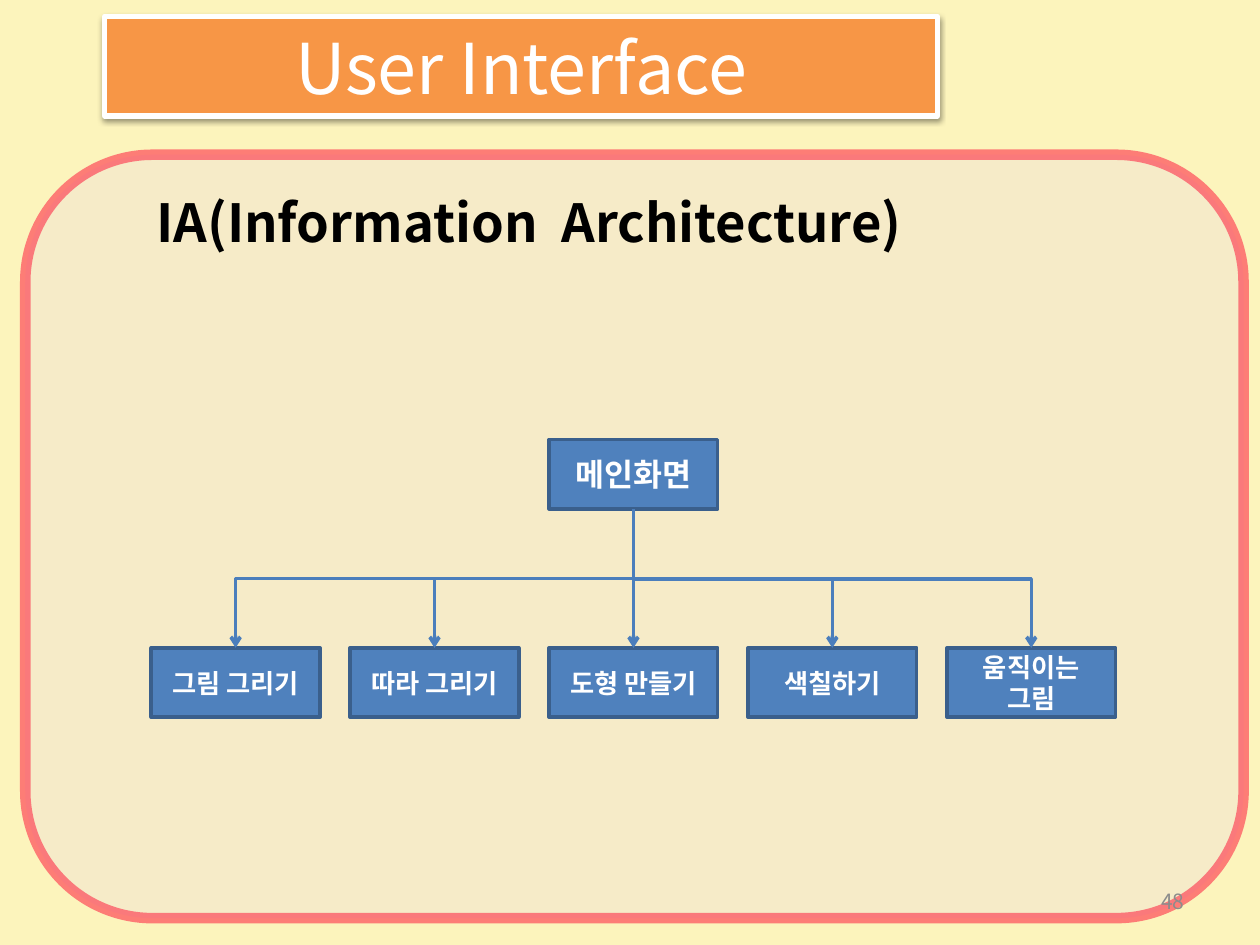
from dataclasses import dataclass

from lxml.etree import SubElement
from pptx import Presentation
from pptx.dml.color import RGBColor
from pptx.enum.shapes import MSO_CONNECTOR as CONN, MSO_SHAPE as SHAPE
from pptx.enum.text import MSO_ANCHOR as ANCHOR, MSO_AUTO_SIZE as AUTO, PP_ALIGN as ALIGN
from pptx.oxml.ns import qn
from pptx.util import Cm, Pt

FONT = "Noto Sans CJK KR"
COLORS = {
    "background": "FCF4BC", "panel": "F2E5D4", "panel_line": "FF1C3D",
    "title": "F79646", "white": "FFFFFF", "black": "000000",
    "box": "4F81BD", "box_line": "3A5F8C", "link": "4B7EBC", "number": "8C8C8C",
}

# Tree grid, in centimetres
BOX_W, BOX_H = 3.4, 1.4
LEFT, PITCH = 3.05, 4.01
MAIN_TOP, BUS_Y, LEAF_TOP = 8.86, 11.67, 13.06


@dataclass
class Node:
    text: str
    column: int
    top: float = LEAF_TOP
    size: int = 15

    @property
    def left(self) -> float:
        return LEFT + self.column * PITCH

    @property
    def center(self) -> float:
        return self.left + BOX_W / 2


MAIN = Node("메인화면", 2, MAIN_TOP, 18)
LEAVES = [Node(text, i) for i, text in enumerate(
    ["그림 그리기", "따라 그리기", "도형 만들기", "색칠하기", "움직이는\n그림"])]


def rgb(name: str) -> RGBColor:
    return RGBColor.from_string(COLORS[name])


def write(sp, text: str, *, size: int, color: str, bold: bool = False,
          align=ALIGN.CENTER, anchor=ANCHOR.MIDDLE) -> None:
    tf = sp.text_frame
    tf.word_wrap = True
    tf.auto_size = AUTO.NONE
    tf.vertical_anchor = anchor
    tf.text = text
    for p in tf.paragraphs:
        p.alignment = align
        for r in p.runs:
            r.font.name, r.font.size, r.font.bold = FONT, Pt(size), bold
            r.font.color.rgb = rgb(color)
            SubElement(r.font._element, qn("a:ea"), typeface=FONT)


def paint(sp, fill: str, line: str, width: float) -> None:
    sp.fill.solid()
    sp.fill.fore_color.rgb = rgb(fill)
    sp.line.color.rgb = rgb(line)
    sp.line.width = Pt(width)


def set_alpha(color_element, percent: int) -> None:
    SubElement(color_element, qn("a:alpha"), val=str(percent * 1000))


def add_text_box(s, left: float, top: float, width: float, height: float, text: str, **fmt):
    sp = s.shapes.add_textbox(Cm(left), Cm(top), Cm(width), Cm(height))
    write(sp, text, **fmt)
    return sp


def add_node(s, node: Node):
    sp = s.shapes.add_shape(SHAPE.RECTANGLE, Cm(node.left), Cm(node.top), Cm(BOX_W), Cm(BOX_H))
    sp.shadow.inherit = False
    paint(sp, "box", "box_line", 2)
    write(sp, node.text, size=node.size, color="white", bold=True)
    return sp


def add_arrow(s, kind, x1: float, y1: float, x2: float, y2: float, target):
    c = s.shapes.add_connector(kind, Cm(x1), Cm(y1), Cm(x2), Cm(y2))
    c.end_connect(target, 0)
    c.line.color.rgb = rgb("link")
    c.line.width = Pt(2)
    SubElement(c.line._get_or_add_ln(), qn("a:tailEnd"), type="arrow")
    SubElement(c._element.spPr, qn("a:effectLst"))
    return c


def add_title(s) -> None:
    sp = s.shapes.title
    sp.left, sp.top, sp.width, sp.height = Cm(2.11), Cm(0.33), Cm(16.79), Cm(2.01)
    geom = SubElement(sp._element.spPr, qn("a:prstGeom"), prst="roundRect")
    SubElement(geom, qn("a:avLst"))
    paint(sp, "title", "white", 3)
    effects = SubElement(sp._element.spPr, qn("a:effectLst"))
    shadow = SubElement(effects, qn("a:outerShdw"), blurRad=str(Pt(3.1)), dist=str(Pt(1.6)),
                        dir="5400000", rotWithShape="0")
    set_alpha(SubElement(shadow, qn("a:srgbClr"), val=COLORS["black"]), 38)
    write(sp, "User Interface", size=40, color="white")


def add_panel(s) -> None:
    sp = s.shapes.add_shape(SHAPE.ROUNDED_RECTANGLE, Cm(0.51), Cm(3.12), Cm(24.56), Cm(15.39))
    sp.shadow.inherit = False
    paint(sp, "panel", "panel_line", 6)
    for color in sp._element.spPr.iter(qn("a:srgbClr")):
        set_alpha(color, 54)


def add_links(s, main, leaves) -> None:
    # Left elbow: a quarter-turned frame takes it down, across and down again
    first, last = LEAVES[0], LEAVES[-1]
    start_y = MAIN_TOP + BOX_H
    c = add_arrow(s, CONN.ELBOW, MAIN.center, start_y, first.center, LEAF_TOP, leaves[0])
    c.begin_connect(main, 2)
    drop, span = LEAF_TOP - start_y, MAIN.center - first.center
    c.left = Cm((MAIN.center + first.center - drop) / 2)
    c.top = Cm((start_y + LEAF_TOP - span) / 2)
    c.width, c.height = Cm(drop), Cm(span)
    xfrm = c._element.spPr.xfrm
    xfrm.flipH = False
    xfrm.rot = 90

    # Straight drops from the bus to the inner boxes
    for node, sp in list(zip(LEAVES, leaves))[1:-1]:
        add_arrow(s, CONN.STRAIGHT, node.center, BUS_Y, node.center, LEAF_TOP, sp)

    # Right elbow: across, then down
    c = add_arrow(s, CONN.ELBOW, MAIN.center, BUS_Y, last.center, LEAF_TOP, leaves[-1])
    c._element.spPr.find(qn("a:prstGeom")).set("prst", "bentConnector2")


def main() -> None:
    prs = Presentation()
    prs.slide_width, prs.slide_height = Cm(25.4), Cm(19.05)
    s = prs.slides.add_slide(prs.slide_layouts[5])
    s.background.fill.solid()
    s.background.fill.fore_color.rgb = rgb("background")

    # Panel, slide number and headings
    add_panel(s)
    add_text_box(s, 18.21, 17.65, 5.92, 1.02, "48", size=12, color="number", align=ALIGN.RIGHT)
    add_title(s)
    add_text_box(s, 2.9, 3.71, 18.85, 1.55, "IA(Information  Architecture)", size=30,
                 color="black", bold=True, align=ALIGN.LEFT, anchor=ANCHOR.TOP)

    # Screen tree
    main_box = add_node(s, MAIN)
    leaf_boxes = [add_node(s, node) for node in LEAVES]
    add_links(s, main_box, leaf_boxes)

    prs.save("out.pptx")


if __name__ == "__main__":
    main()
